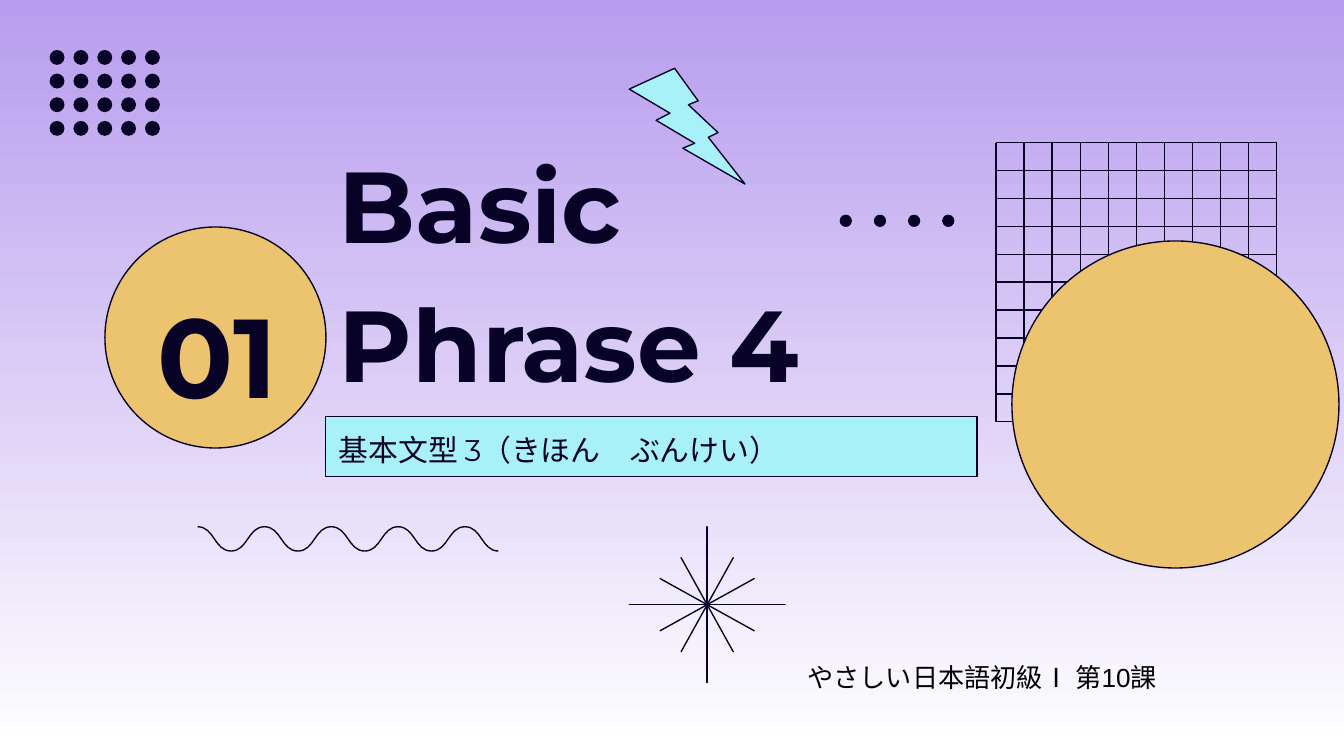
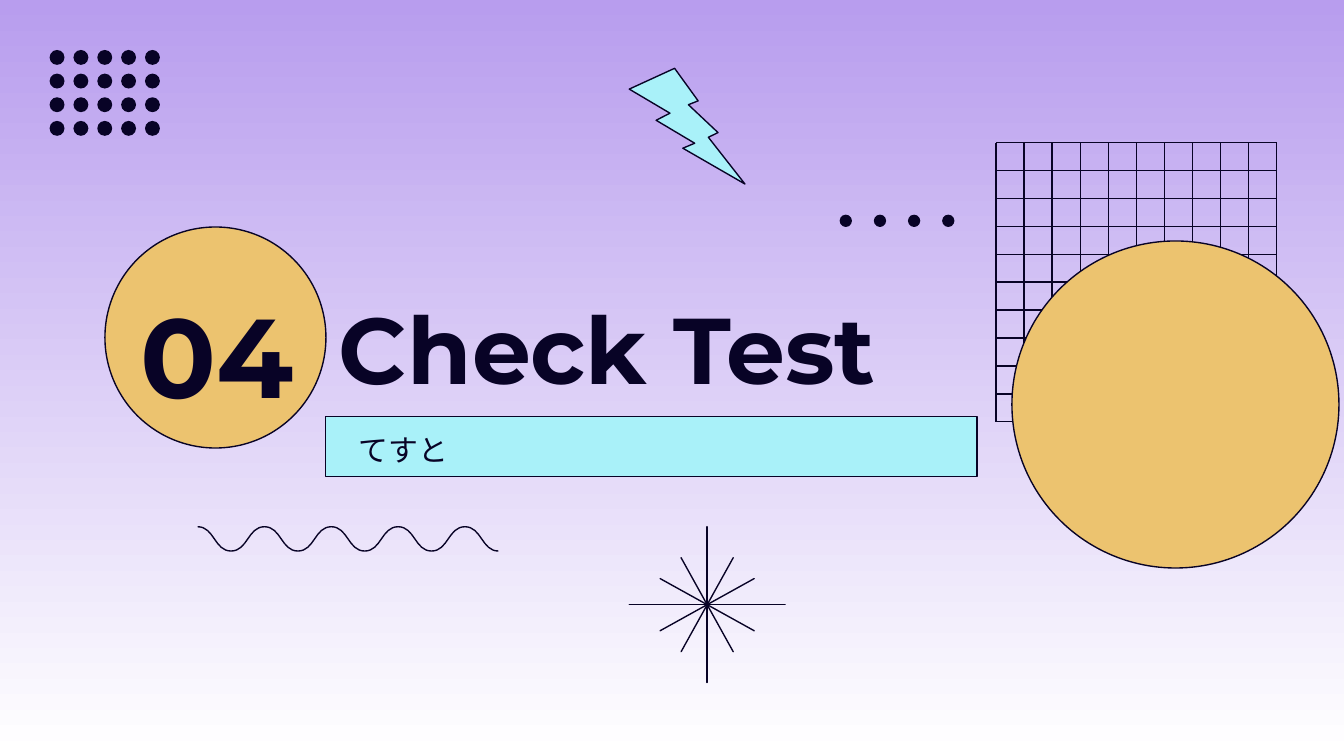
from lxml import etree
from pptx import Presentation
from pptx.dml.color import RGBColor
from pptx.enum.shapes import MSO_CONNECTOR, MSO_SHAPE
from pptx.enum.text import MSO_ANCHOR, MSO_AUTO_SIZE, PP_ALIGN
from pptx.oxml.ns import qn
from pptx.util import Pt

STRAIGHT = MSO_CONNECTOR.STRAIGHT
OVAL = MSO_SHAPE.OVAL
BOLT = MSO_SHAPE.LIGHTNING_BOLT
STAR = MSO_SHAPE.STAR_4_POINT
TOP, MIDDLE, BOTTOM = MSO_ANCHOR.TOP, MSO_ANCHOR.MIDDLE, MSO_ANCHOR.BOTTOM
LEFT, CENTER = PP_ALIGN.LEFT, PP_ALIGN.CENTER
FIXED, GROW = MSO_AUTO_SIZE.NONE, MSO_AUTO_SIZE.SHAPE_TO_FIT_TEXT

INK, LILAC, WHITE = "080326", "B89DEE", "FFFFFF"
GOLD, AQUA, BLACK = "ECC36F", "A9F1F9", "000000"
HEAD_FONT, NOTE_FONT = "Montserrat", "Arial"
LINE_WIDTH = 0.75

NUMBER_CIRCLE = (56.2, 121.6, 118.4, 118.4)
TITLE_BOX = (174.3, 144.7, 349.2, 78.5)
SUBTITLE_BOX = (174.3, 223.2, 349.2, 32.2)
WAVE_BOX = (105.9, 282.2, 161.1, 13)
BOLT_BOX = (337.1, 36.6, 62, 62)
BURST_BOX = (337.1, 282.2, 83.5, 83.5)
DOT_GRID_BOX = (26.6, 26.8, 59.1, 46)
DOT_ROW_BOX = (449.8, 115, 61.5, 6.6)
LINE_GRID_BOX = (533.6, 76.4, 150.4, 149.6)
BIG_CIRCLE = (542.1, 129.1, 175.2, 175.2)
NOTE_BOX = (425.5, 350.6, 203.8, 24.5)


def colour(code):
    """Turn a hex string into a colour."""
    return RGBColor.from_string(code)


def points(box):
    """Convert a row of numbers to point lengths."""
    return [Pt(value) for value in box]


def paint(shape, fill=None, line=INK):
    """Set the fill and outline of a shape and drop its shadow."""
    if fill:
        shape.fill.solid()
        shape.fill.fore_color.rgb = colour(fill)
    else:
        shape.fill.background()
    if line:
        shape.line.color.rgb = colour(line)
        shape.line.width = Pt(LINE_WIDTH)
    else:
        shape.line.fill.background()


def add_figure(shapes, kind, box, fill=None, line=INK):
    """Add one preset shape."""
    shape = shapes.add_shape(kind, *points(box))
    shape.shadow.inherit = False
    paint(shape, fill, line)
    return shape


def place(shape, box):
    """Move a placeholder to a box."""
    shape.left, shape.top, shape.width, shape.height = points(box)


def write(shape, text, size, font=HEAD_FONT, code=INK, bold=False, align=LEFT,
          anchor=MIDDLE, spacing=1.15, inset=7.2, fit=FIXED, indent=None):
    """Write one formatted paragraph into a shape."""
    frame = shape.text_frame
    frame.word_wrap = True
    frame.auto_size = fit
    frame.vertical_anchor = anchor
    frame.margin_left = frame.margin_right = Pt(7.2)
    frame.margin_top = frame.margin_bottom = Pt(inset)
    para = frame.paragraphs[0]
    if indent:
        margin, first = indent
        properties = para._p.get_or_add_pPr()
        properties.set("marL", str(Pt(margin)))
        properties.set("indent", str(Pt(first)))
    para.alignment = align
    para.line_spacing = spacing
    para.space_before = Pt(0)
    span = para.add_run()
    span.text = text
    span.font.name = font
    span.font.size = Pt(size)
    span.font.bold = bold
    span.font.color.rgb = colour(code)


def paint_background(page):
    """Fill the page with the downward lilac gradient."""
    fill = page.background.fill
    fill.gradient()
    fill.gradient_angle = 270
    for stop, code in zip(fill.gradient_stops, (LILAC, WHITE)):
        stop.color.rgb = colour(code)


def add_number(page, box, number):
    """Add the gold circle with the section number in it."""
    left, top, width, height = box
    add_figure(page.shapes, OVAL, box, GOLD)
    label = page.shapes.add_textbox(*points((left + 10, top + 23.1, width - 18, 78.5)))
    write(label, number, 60, bold=True, align=CENTER)


def add_wave(page, box, waves=4.5):
    """Draw a curved wave across the box."""
    left, top, width, height = box
    halves = round(waves * 2)
    step = width / halves
    levels = (top, top + height)
    knots = []
    for half in range(halves):
        start, end = levels[half % 2], levels[(half + 1) % 2]
        x = left + half * step
        knots += [(x + step / 2, start), (x + step / 2, end), (x + step, end)]
    builder = page.shapes.build_freeform(Pt(left), Pt(top))
    builder.add_line_segments([points(knot) for knot in knots], close=False)
    wave = builder.convert_to_shape()
    wave.shadow.inherit = False
    paint(wave)
    outline = next(wave.element.iter(qn("a:path")))
    segments = outline.findall(qn("a:lnTo"))
    for first in range(0, len(segments), 3):
        curve = etree.SubElement(outline, qn("a:cubicBezTo"))
        for segment in segments[first:first + 3]:
            curve.append(segment[0])
            outline.remove(segment)


def add_burst(page, box):
    """Draw three thin stars turned around one centre."""
    left, top, width, height = box
    group = page.shapes.add_group_shape()
    for scale, turn in ((1, 0), (0.69, 29), (0.69, 331)):
        margin = width * (1 - scale) / 2
        star = add_figure(group.shapes, STAR, (left + margin, top + margin,
                                               width * scale, height * scale))
        star.adjustments[0] = 0
        star.rotation = turn


def add_dots(page, box, columns, rows, size):
    """Spread equal dots over the box."""
    left, top, width, height = box
    across = (width - size) / (columns - 1)
    down = (height - size) / max(rows - 1, 1)
    group = page.shapes.add_group_shape()
    for row in range(rows):
        for column in range(columns):
            add_figure(group.shapes, OVAL, (left + column * across, top + row * down,
                                            size, size), INK, None)


def add_line(shapes, ends):
    """Add one straight thin line."""
    line = shapes.add_connector(STRAIGHT, *points(ends))
    line.line.color.rgb = colour(INK)
    line.line.width = Pt(LINE_WIDTH)
    etree.SubElement(line.element.spPr, qn("a:effectLst"))


def add_line_grid(page, box, cells=10):
    """Rule the box into square cells."""
    left, top, width, height = box
    group = page.shapes.add_group_shape()
    for index in range(cells + 1):
        x = left + index * width / cells
        add_line(group.shapes, (x, top, x, top + height))
    for index in range(cells + 1):
        y = top + index * height / cells
        add_line(group.shapes, (left, y, left + width, y))


def add_section(deck, number, title, title_size, subtitle, indent=None):
    """Build one section slide with its decoration."""
    page = deck.slides.add_slide(deck.slide_layouts[0])
    paint_background(page)
    heading, band = page.placeholders
    place(heading, TITLE_BOX)
    write(heading, title, title_size, bold=True, anchor=BOTTOM)
    place(band, SUBTITLE_BOX)
    paint(band, AQUA)
    write(band, subtitle, 16, indent=indent)
    add_number(page, NUMBER_CIRCLE, number)
    add_wave(page, WAVE_BOX)
    add_figure(page.shapes, BOLT, BOLT_BOX, AQUA)
    add_burst(page, BURST_BOX)
    add_dots(page, DOT_GRID_BOX, 5, 4, 8)
    add_line_grid(page, LINE_GRID_BOX)
    add_figure(page.shapes, OVAL, BIG_CIRCLE, GOLD)
    add_dots(page, DOT_ROW_BOX, 4, 1, 6.6)
    return page


def add_note(page, box, text):
    """Add the textbook reference at the bottom."""
    note = page.shapes.add_textbox(*points(box))
    write(note, text, 14, NOTE_FONT, BLACK, anchor=TOP, spacing=1.0, inset=3.6, fit=GROW)


def main():
    """Build and save the deck."""
    deck = Presentation()
    deck.slide_width, deck.slide_height = Pt(720), Pt(405)
    page = add_section(deck, "01", "Basic Phrase 4", 54, "基本文型 3（きほん　ぶんけい）")
    add_note(page, NOTE_BOX, "やさしい日本語初級Ⅰ 第10課")
    add_section(deck, "04", "Check Test", 50, "てすと", indent=(36, -25.2))
    deck.save("out.pptx")


if __name__ == "__main__":
    main()
